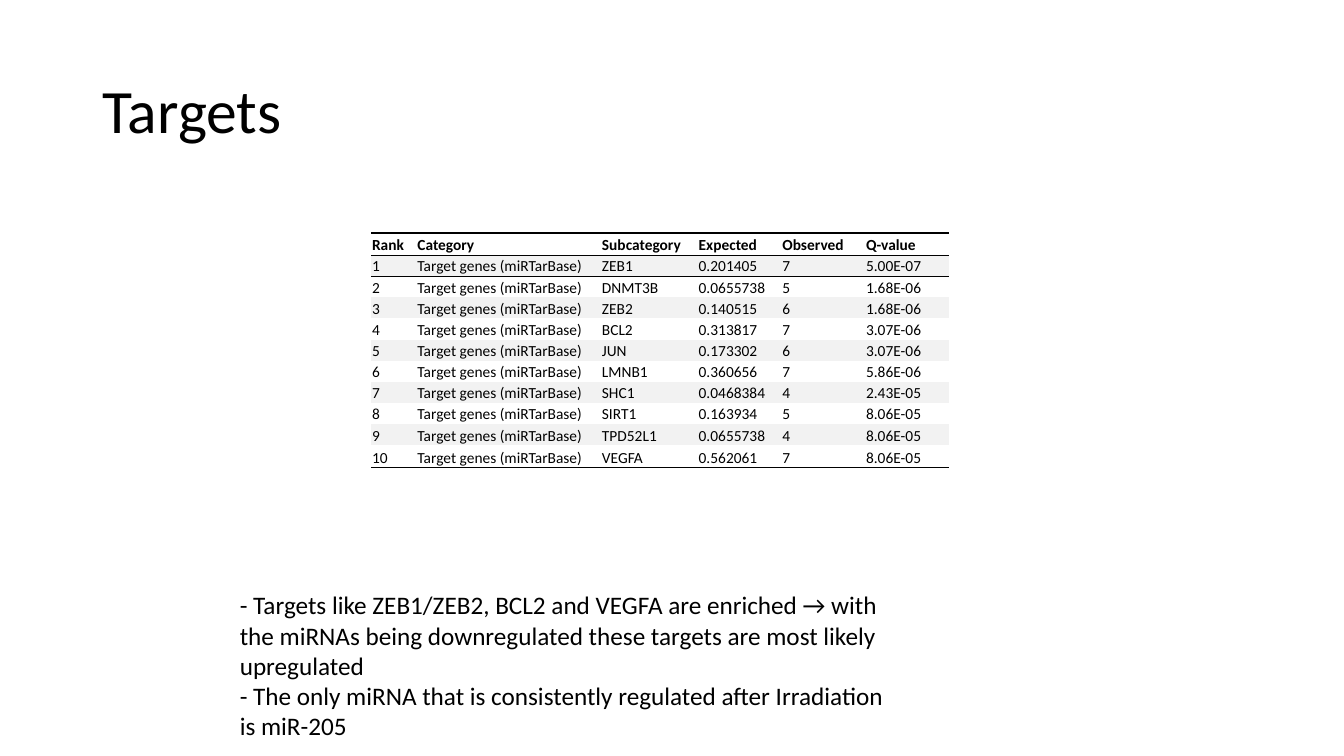
"""Builds the slide on enriched miRNA targets: title, ranked table and notes."""
from lxml.etree import SubElement
from pptx import Presentation
from pptx.dml.color import RGBColor
from pptx.enum.text import MSO_ANCHOR
from pptx.oxml.ns import qn
from pptx.util import Inches, Pt

MIDDLE, BOTTOM, TOP = MSO_ANCHOR.MIDDLE, MSO_ANCHOR.BOTTOM, MSO_ANCHOR.TOP
COLORS = {"ink": "000000", "plain": "FFFFFF", "band": "F2F2F2"}
FONT = "Calibri"
NO_STYLE = "{2D5ABB26-0587-4C30-8999-92F81FD0307C}"
WIDTHS = [0.45, 1.83, 0.96, 0.83, 0.83, 0.83]
ROW = 0.21
HEAD = ["Rank", "Category", "Subcategory", "Expected", "Observed", "Q-value"]
GENES = [
    ("ZEB1", "0.201405", "7", "5.00E-07"),
    ("DNMT3B", "0.0655738", "5", "1.68E-06"),
    ("ZEB2", "0.140515", "6", "1.68E-06"),
    ("BCL2", "0.313817", "7", "3.07E-06"),
    ("JUN", "0.173302", "6", "3.07E-06"),
    ("LMNB1", "0.360656", "7", "5.86E-06"),
    ("SHC1", "0.0468384", "4", "2.43E-05"),
    ("SIRT1", "0.163934", "5", "8.06E-05"),
    ("TPD52L1", "0.0655738", "4", "8.06E-05"),
    ("VEGFA", "0.562061", "7", "8.06E-05"),
]
TEXTS = [
    ("Targets", (0.92, 0.4, 11.5, 1.45), 44, MIDDLE, 0.9),
    ("- Targets like ZEB1/ZEB2, BCL2 and VEGFA are enriched → with the miRNAs "
     "being downregulated these targets are most likely upregulated\n"
     "- The only miRNA that is consistently regulated after Irradiation is miR-205",
     (2.28, 5.8, 6.78, 1.62), 18, TOP, 1.0),
]


def style(frame, size, bold=False):
    for para in frame.paragraphs:
        for run in para.runs:
            font = run.font
            font.name, font.size, font.bold = FONT, Pt(size), bold
            font.color.rgb = RGBColor.from_string(COLORS["ink"])


def rule(cell, side, width):
    line = SubElement(cell._tc.get_or_add_tcPr(), qn(f"a:{side}"), w=str(Pt(width)))
    fill = SubElement(line, qn("a:solidFill"))
    SubElement(fill, qn("a:srgbClr"), val=COLORS["ink"])


deck = Presentation()
deck.slide_width, deck.slide_height = Inches(13.33), Inches(7.5)
slide = deck.slides.add_slide(deck.slide_layouts[6])

for text, place, size, anchor, space in TEXTS:
    box = slide.shapes.add_textbox(*map(Inches, place))
    frame = box.text_frame
    frame.word_wrap = True
    frame.vertical_anchor = anchor
    frame.text = text
    for para in frame.paragraphs:
        para.line_spacing = space
    style(frame, size)

rows = [HEAD] + [
    (str(rank), "Target genes (miRTarBase)", *gene)
    for rank, gene in enumerate(GENES, 1)
]
last = len(rows) - 1
table = slide.shapes.add_table(
    len(rows), len(HEAD), Inches(3.68), Inches(2.31),
    Inches(sum(WIDTHS)), Inches(ROW * len(rows))).table
table.first_row = table.horz_banding = False
table._tbl.tblPr.find(qn("a:tableStyleId")).text = NO_STYLE
for column, width in zip(table.columns, WIDTHS):
    column.width = Inches(width)

for r, values in enumerate(rows):
    table.rows[r].height = Inches(ROW + 0.01 * (r in (0, last)))
    for c, value in enumerate(values):
        cell = table.cell(r, c)
        cell.margin_left = cell.margin_right = cell.margin_top = Inches(0.01)
        cell.margin_bottom = 0
        cell.vertical_anchor = BOTTOM
        if r < 2:
            rule(cell, "lnT", 0.5 if r else 1.5)
        if r in (0, last):
            rule(cell, "lnB", 1.5 if r else 0.5)
        cell.fill.solid()
        cell.fill.fore_color.rgb = RGBColor.from_string(
            COLORS["band" if r % 2 else "plain"])
        cell.text_frame.text = value
        style(cell.text_frame, 11, r == 0)

deck.save("out.pptx")
